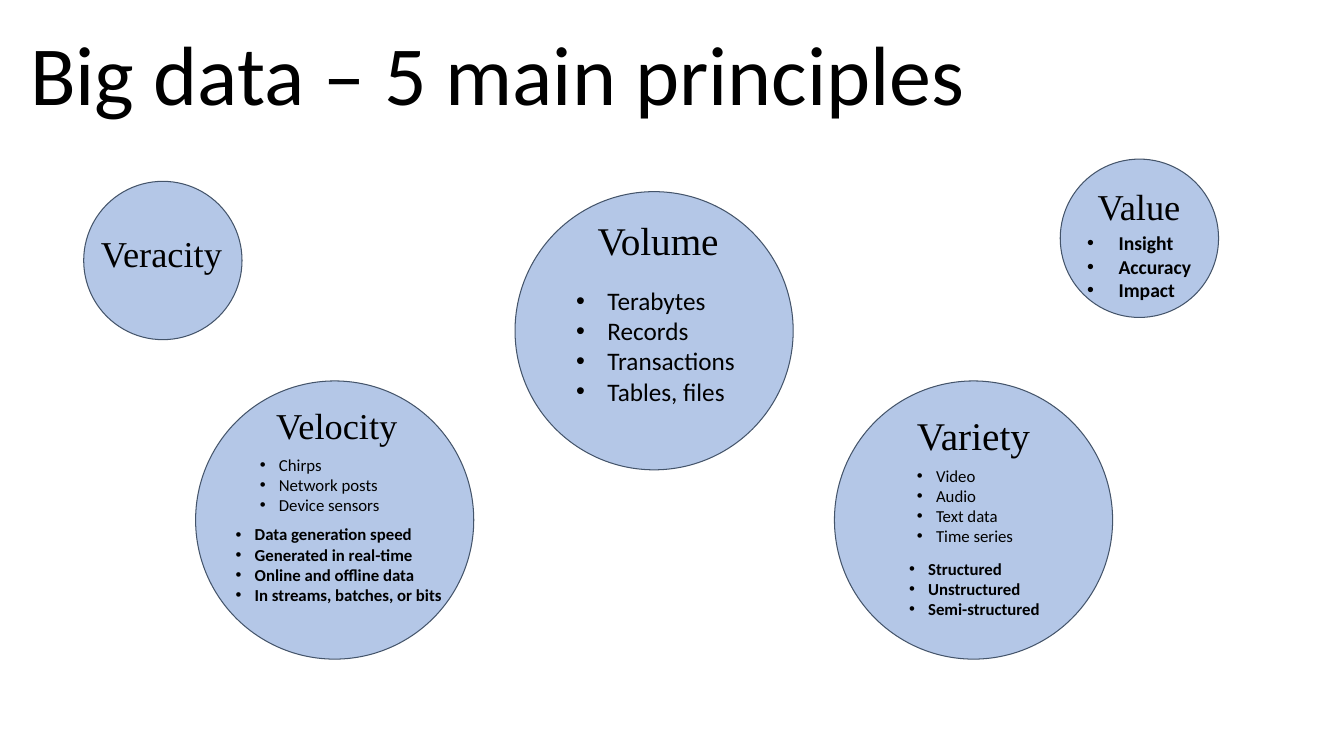
"""Build the slide on the five main principles of big data."""
from dataclasses import dataclass

from lxml.etree import SubElement
from pptx import Presentation
from pptx.dml.color import RGBColor as Rgb
from pptx.enum.shapes import MSO_SHAPE as Shape
from pptx.enum.text import MSO_ANCHOR as Anchor
from pptx.oxml.ns import qn
from pptx.util import Cm, Pt


@dataclass(frozen=True)
class Theme:
    """Colours, fonts and type sizes."""
    ink: Rgb = Rgb(0, 0, 0)
    circle: Rgb = Rgb(0xB4, 0xC7, 0xE7)
    outline: Rgb = Rgb(0x44, 0x54, 0x6A)
    body_font: str = "Calibri"
    heading_font: str = "Times New Roman"
    title: int = 60
    heading_large: int = 28
    heading: int = 26
    list_large: int = 18
    list_medium: int = 14
    list_small: int = 12


THEME = Theme()
LARGE, SMALL = 7.01, 3.99
FIRST_LEFT, STEP = 4.93, 8.05
LOW, HIGH = 9.6, 4.83

TITLE = ("Big data – 5 main principles", (0.51, 0.28, 30.43, 3.07))

CIRCLES = [
    (FIRST_LEFT + 2 * STEP, LOW, LARGE),
    (FIRST_LEFT + STEP, HIGH, LARGE),
    (FIRST_LEFT, LOW, LARGE),
    (2.11, 4.57, SMALL),
    (26.72, 4.01, SMALL),
]

HEADINGS = [
    ("Volume", (14.81, 5.21, 3.84, 1.7), dict(size=THEME.heading_large)),
    ("Velocity", (6.71, 9.91, 4.09, 1.63), dict(size=THEME.heading)),
    ("Variety", (22.86, 10.11, 4.09, 1.7), dict(size=THEME.heading_large)),
    ("Veracity", (2.29, 5.69, 3.61, 1.37),
     dict(size=THEME.heading, margin=0.13, wrap=False)),
    ("Value", (27.41, 4.52, 2.62, 1.37),
     dict(size=THEME.heading, margin=0.13, wrap=False)),
]

LISTS = [
    (["Chirps", "Network posts", "Device sensors"],
     (6.3, 11.2, 5.23, 2.06), dict(size=THEME.list_small)),
    (["Video", "Audio", "Text data", "Time series"],
     (22.86, 11.48, 3.71, 2.57), dict(size=THEME.list_small)),
    (["Data generation speed", "Generated in real-time",
      "Online and offline data", "In streams, batches, or bits"],
     (5.69, 13.08, 6.12, 2.31),
     dict(size=THEME.list_small, bold=True, margin=0.13)),
    (["Terabytes", "Records", "Transactions", "Tables, files"],
     (14.27, 7.06, 4.55, 3.33),
     dict(size=THEME.list_large, indent=0.79, margin=0.13, wrap=False)),
    (["Structured", "Unstructured", "Semi-structured"],
     (22.66, 13.94, 3.84, 1.8),
     dict(size=THEME.list_small, bold=True, margin=0.13, wrap=False)),
    (["Insight", "Accuracy", "Impact"],
     (27.15, 5.69, 3.15, 2.06),
     dict(size=THEME.list_medium, bold=True, indent=0.79, margin=0.13,
          wrap=False)),
]


def add_circle(page, left, top, size):
    """Draw one outlined circle."""
    circle = page.shapes.add_shape(
        Shape.OVAL, Cm(left), Cm(top), Cm(size), Cm(size))
    circle.shadow.inherit = False
    circle.fill.solid()
    circle.fill.fore_color.rgb = THEME.circle
    circle.line.color.rgb = THEME.outline
    circle.line.width = Pt(0.75)


def add_bullet(para, indent):
    """Give a paragraph a round bullet with a hanging indent."""
    settings = para._p.get_or_add_pPr()
    settings.set("marL", str(Cm(indent)))
    settings.set("indent", str(-Cm(indent)))
    SubElement(settings, qn("a:buFont")).set("typeface", "Arial")
    SubElement(settings, qn("a:buChar")).set("char", "•")


def add_text(page, lines, place, *, size, font=THEME.body_font, bold=False,
             indent=0, margin=0.25, wrap=True):
    """Add a text box with one paragraph per line."""
    box = page.shapes.add_textbox(*map(Cm, place))
    frame = box.text_frame
    frame.word_wrap = wrap
    frame.vertical_anchor = Anchor.TOP
    frame.margin_left = frame.margin_right = Cm(0.25)
    frame.margin_top = frame.margin_bottom = Cm(margin)
    for index, line in enumerate(lines):
        para = frame.add_paragraph() if index else frame.paragraphs[0]
        if indent:
            add_bullet(para, indent)
        span = para.add_run()
        span.text = line
        span.font.name = font
        span.font.size = Pt(size)
        span.font.bold = bold
        span.font.color.rgb = THEME.ink


def main():
    """Assemble and save the deck."""
    deck = Presentation()
    deck.slide_width, deck.slide_height = Cm(33.87), Cm(19.05)
    page = deck.slides.add_slide(deck.slide_layouts[6])
    for circle in CIRCLES:
        add_circle(page, *circle)
    title, place = TITLE
    add_text(page, [title], place, size=THEME.title)
    for heading, place, style in HEADINGS:
        add_text(page, [heading], place, font=THEME.heading_font, **style)
    for lines, place, style in LISTS:
        add_text(page, lines, place, **{"indent": 0.48, **style})
    deck.save("out.pptx")


if __name__ == "__main__":
    main()
